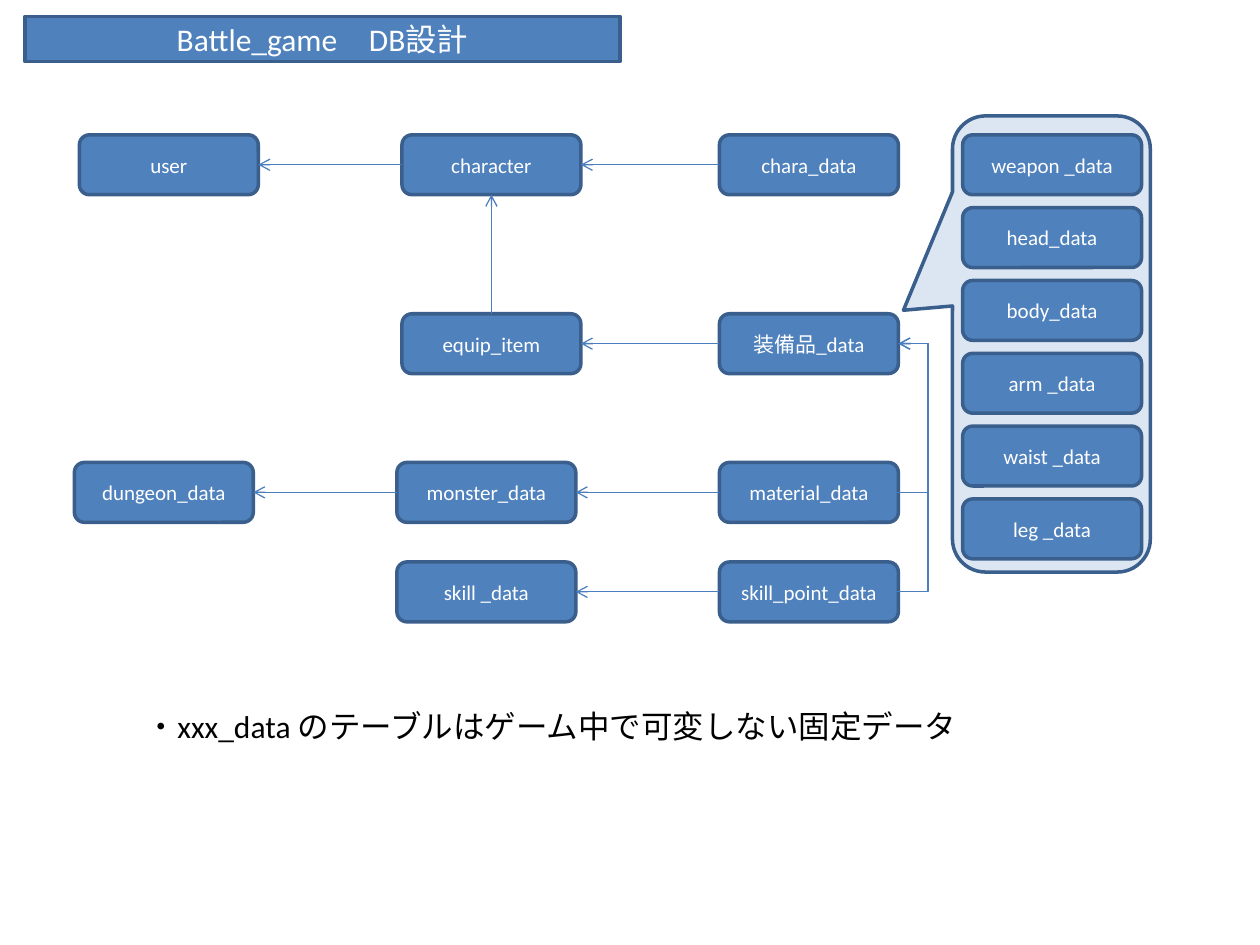
from dataclasses import dataclass
from typing import Any

import pptx
import pptx.dml.color
import pptx.enum.shapes
import pptx.enum.text
import pptx.oxml
import pptx.oxml.ns
import pptx.util

Shape = pptx.enum.shapes.MSO_SHAPE
Connector = pptx.enum.shapes.MSO_CONNECTOR
COLORS = {"fill": "4F81BD", "border": "3A5F8C", "arrow": "4B7EBC",
          "callout": "DCE6F2", "white": "FFFFFF", "black": "000000"}
FONT = "Calibri"
TOP, LEFT, RIGHT = 0, 1, 3  # connection sites

# Grid, in inches
COL_X, COL_STEP = 0.59, 2.56
ROW_Y = [1.07, 2.49, 3.67, 4.46]
BOX_W, BOX_H = 1.42, 0.475
PART_X, PART_STEP = 7.64, 0.578
ELBOW_REACH = 0.25


@dataclass
class Table:
    name: str
    col: int
    row: int
    dx: float = 0.0


@dataclass
class Link:
    start: str
    end: str
    start_site: int = LEFT
    end_site: int = RIGHT


TABLES = [
    Table("user", 0, 0, 0.04), Table("character", 1, 0, 0.04), Table("chara_data", 2, 0),
    Table("equip_item", 1, 1, 0.04), Table("装備品_data", 2, 1),
    Table("dungeon_data", 0, 2), Table("monster_data", 1, 2), Table("material_data", 2, 2),
    Table("skill _data", 1, 3), Table("skill_point_data", 2, 3),
]
PARTS = ["weapon _data", "head_data", "body_data", "arm _data", "waist _data", "leg _data"]
LINKS = [
    Link("character", "user"), Link("chara_data", "character"),
    Link("equip_item", "character", TOP, 2), Link("装備品_data", "equip_item"),
    Link("monster_data", "dungeon_data"), Link("material_data", "monster_data"),
    Link("skill_point_data", "skill _data"),
]
ELBOW_ROWS = [2, 3]  # rows whose last table also leads to the equipment table


def rgb(key: str) -> pptx.dml.color.RGBColor:
    return pptx.dml.color.RGBColor.from_string(COLORS[key])


def write(s: Any, text: str, size: float, color: str) -> None:
    tf = s.text_frame
    tf.text = text
    tf.word_wrap = True
    for r in tf.paragraphs[0].runs:
        r.font.name = FONT
        r.font.size = pptx.util.Pt(size)
        r.font.color.rgb = rgb(color)


def add_box(slide: Any, kind: Any, x: float, y: float, w: float, h: float,
            text: str = "", size: float = 12, fill: str = "fill") -> Any:
    s = slide.shapes.add_shape(kind, *map(pptx.util.Inches, (x, y, w, h)))
    s.shadow.inherit = False
    s.fill.solid()
    s.fill.fore_color.rgb = rgb(fill)
    s.line.color.rgb = rgb("border")
    s.line.width = pptx.util.Pt(2)
    if text:
        write(s, text, size, "white")
        s.text_frame.vertical_anchor = pptx.enum.text.MSO_ANCHOR.MIDDLE
        s.text_frame.paragraphs[0].alignment = pptx.enum.text.PP_ALIGN.CENTER
    return s


def add_arrow(slide: Any, kind: Any, x1: float = 0, y1: float = 0,
              x2: float = 0, y2: float = 0) -> Any:
    c = slide.shapes.add_connector(kind, *map(pptx.util.Inches, (x1, y1, x2, y2)))
    c.line.color.rgb = rgb("arrow")
    c.line.width = pptx.util.Pt(0.75)
    sp_pr = c._element.spPr
    tail = pptx.oxml.parse_xml(f'<a:tailEnd {pptx.oxml.ns.nsdecls("a")} type="arrow"/>')
    sp_pr.find(pptx.oxml.ns.qn("a:ln")).append(tail)
    sp_pr.append(pptx.oxml.parse_xml(f'<a:effectLst {pptx.oxml.ns.nsdecls("a")}/>'))
    return c


def add_elbow(slide: Any, row: int) -> None:
    x = COL_X + 2 * COL_STEP + BOX_W - 0.01
    width = 0.01
    c = add_arrow(slide, Connector.ELBOW, x, ROW_Y[row] + BOX_H / 2,
                  x + width, ROW_Y[1] + BOX_H / 2)
    bend = round(ELBOW_REACH / width * 100000)
    geom = c._element.spPr.find(pptx.oxml.ns.qn("a:prstGeom"))
    for old in list(geom):
        geom.remove(old)
    geom.append(pptx.oxml.parse_xml(
        f'<a:avLst {pptx.oxml.ns.nsdecls("a")}><a:gd name="adj1" fmla="val {bend}"/></a:avLst>'))


def main() -> None:
    prs = pptx.Presentation()
    prs.slide_width = pptx.util.Inches(10)
    prs.slide_height = pptx.util.Inches(7.5)
    slide = prs.slides.add_slide(prs.slide_layouts[6])

    # Title bar
    add_box(slide, Shape.RECTANGLE, 0.2, 0.13, 4.72, 0.36, "Battle_game　DB設計", 18)

    # Callout with the equipment tables
    callout = add_box(slide, Shape.ROUNDED_RECTANGULAR_CALLOUT, 7.56, 0.92, 1.57, 3.62,
                      fill="callout")
    for i, value in enumerate((-0.748, -0.074, 0.167)):
        callout.adjustments[i] = value
    for i, name in enumerate(PARTS):
        add_box(slide, Shape.ROUNDED_RECTANGLE, PART_X, ROW_Y[0] + i * PART_STEP,
                BOX_W, BOX_H, name)

    # Tables on the grid
    boxes = {t.name: add_box(slide, Shape.ROUNDED_RECTANGLE, COL_X + t.col * COL_STEP + t.dx,
                             ROW_Y[t.row], BOX_W, BOX_H, t.name)
             for t in TABLES}

    # Arrows between tables
    for link in LINKS:
        c = add_arrow(slide, Connector.STRAIGHT)
        c.begin_connect(boxes[link.start], link.start_site)
        c.end_connect(boxes[link.end], link.end_site)
    for row in ELBOW_ROWS:
        add_elbow(slide, row)

    # Note
    note = slide.shapes.add_textbox(*map(pptx.util.Inches, (1.06, 5.56, 7.24, 0.4)))
    write(note, "・xxx_data のテーブルはゲーム中で可変しない固定データ", 18, "black")

    prs.save("out.pptx")


if __name__ == "__main__":
    main()
